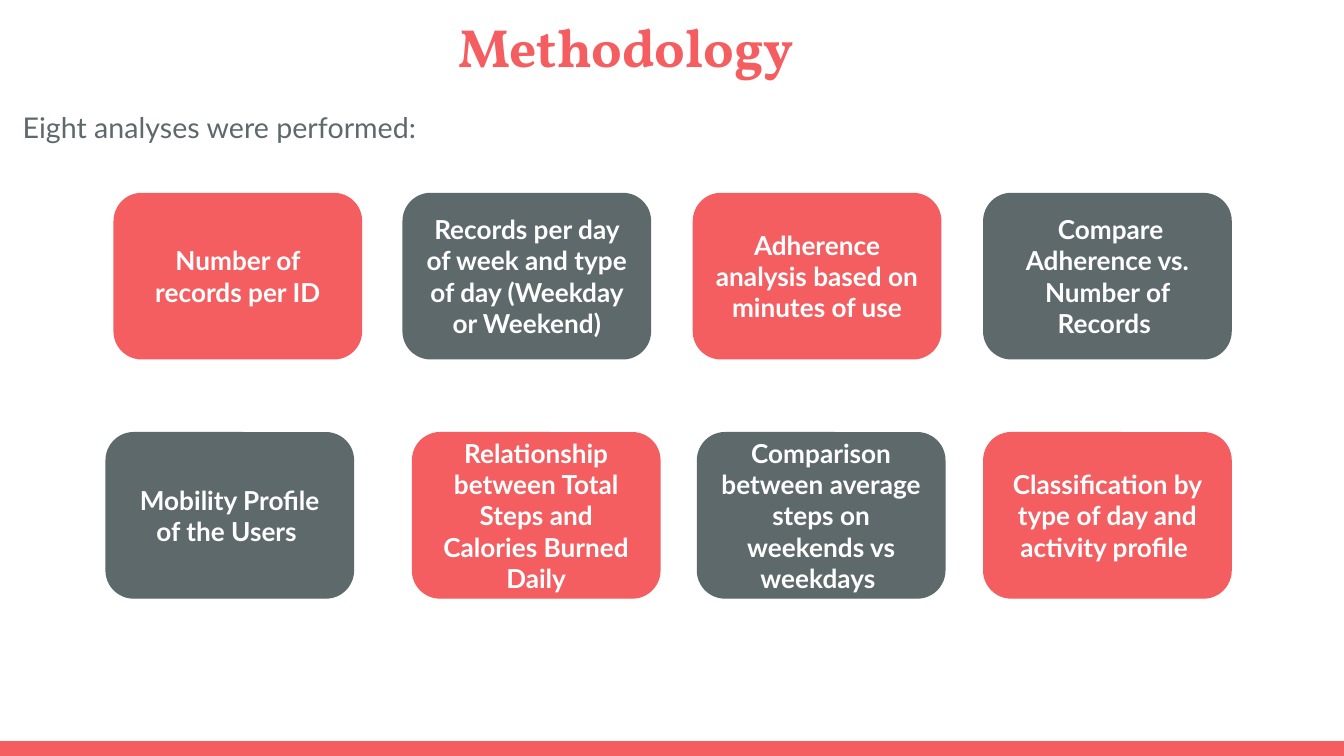
"""Build the Methodology slide: a title and two rows of analysis cards."""
from dataclasses import dataclass

from pptx import Presentation
from pptx import util as u
from pptx.dml.color import RGBColor
from pptx.enum import shapes, text


@dataclass(frozen=True)
class Theme:
    coral: str = "F55E61"
    slate: str = "5E696C"
    white: str = "FFFFFF"
    heading: str = "Vollkorn"
    body: str = "Lato"
    title_size: float = 28.8
    intro_size: float = 15.3
    card_size: float = 14


T = Theme()
WIDTH = 10
HEIGHT = WIDTH * 9 / 16
CARD_W, CARD_H = 1.84, 1.23
BAR_H = 0.11

TITLE = "Methodology"
INTRO = "Eight analyses were performed:"
ROWS = [
    {
        "top": 1.44,
        "lefts": (0.85, 3, 5.16, 7.32),
        "colors": (T.coral, T.slate, T.coral, T.slate),
        "cards": (
            "Number of records per ID",
            "Records per day of week and type of day (Weekday or Weekend)",
            "Adherence analysis based on minutes of use",
            " Compare Adherence vs. Number of Records ",
        ),
    },
    {
        "top": 3.22,
        "lefts": (0.79, 3.07, 5.19, 7.32),
        "colors": (T.slate, T.coral, T.slate, T.coral),
        "cards": (
            "Mobility Profile of the Users ",
            "Relationship between Total Steps and Calories Burned Daily",
            "Comparison between average steps on weekends vs weekdays ",
            "Classification by type of day and activity profile ",
        ),
    },
]


def write(sp, content, *, size, color, font=T.body, bold=False, align="CENTER",
          anchor="TOP", line=1.0, after=0):
    tf = sp.text_frame
    tf.word_wrap = True
    tf.auto_size = text.MSO_AUTO_SIZE.NONE
    tf.vertical_anchor = text.MSO_ANCHOR[anchor]
    tf.margin_left = tf.margin_right = tf.margin_top = tf.margin_bottom = u.Inches(0.1)
    p = tf.paragraphs[0]
    p.alignment = text.PP_ALIGN[align]
    p.line_spacing = line
    p.space_before, p.space_after = u.Pt(0), u.Pt(after)
    r = p.add_run()
    r.text = content
    r.font.name, r.font.size, r.font.bold = font, u.Pt(size), bold
    r.font.color.rgb = RGBColor.from_string(color)


def add_block(s, kind, box, color, outlined=True):
    sp = s.shapes.add_shape(kind, *map(u.Inches, box))
    sp.shadow.inherit = False
    sp.fill.solid()
    sp.fill.fore_color.rgb = RGBColor.from_string(color)
    if outlined:
        sp.line.color.rgb = RGBColor.from_string(color)
        sp.line.width = u.Pt(0.75)
    else:
        sp.line.fill.background()
    return sp


def main():
    prs = Presentation()
    prs.slide_width, prs.slide_height = u.Inches(WIDTH), u.Inches(HEIGHT)
    s = prs.slides.add_slide(prs.slide_layouts.get_by_name("Title Only"))

    add_block(s, shapes.MSO_SHAPE.RECTANGLE, (0, HEIGHT - BAR_H, WIDTH, BAR_H),
              T.coral, outlined=False)

    title = s.shapes.title
    title.left, title.top, title.width, title.height = map(u.Inches, (0, 0, 9.32, 0.68))
    write(title, TITLE, size=T.title_size, color=T.coral, font=T.heading, bold=True)

    intro = s.shapes.add_textbox(*map(u.Inches, (0.07, 0.68, 3.55, 0.46)))
    write(intro, INTRO, size=T.intro_size, color=T.slate, align="LEFT", line=1.15, after=12)

    for row in ROWS:
        for left, color, label in zip(row["lefts"], row["colors"], row["cards"]):
            card = add_block(s, shapes.MSO_SHAPE.ROUNDED_RECTANGLE,
                             (left, row["top"], CARD_W, CARD_H), color)
            write(card, label, size=T.card_size, color=T.white, bold=True, anchor="MIDDLE")

    prs.save("out.pptx")


if __name__ == "__main__":
    main()
